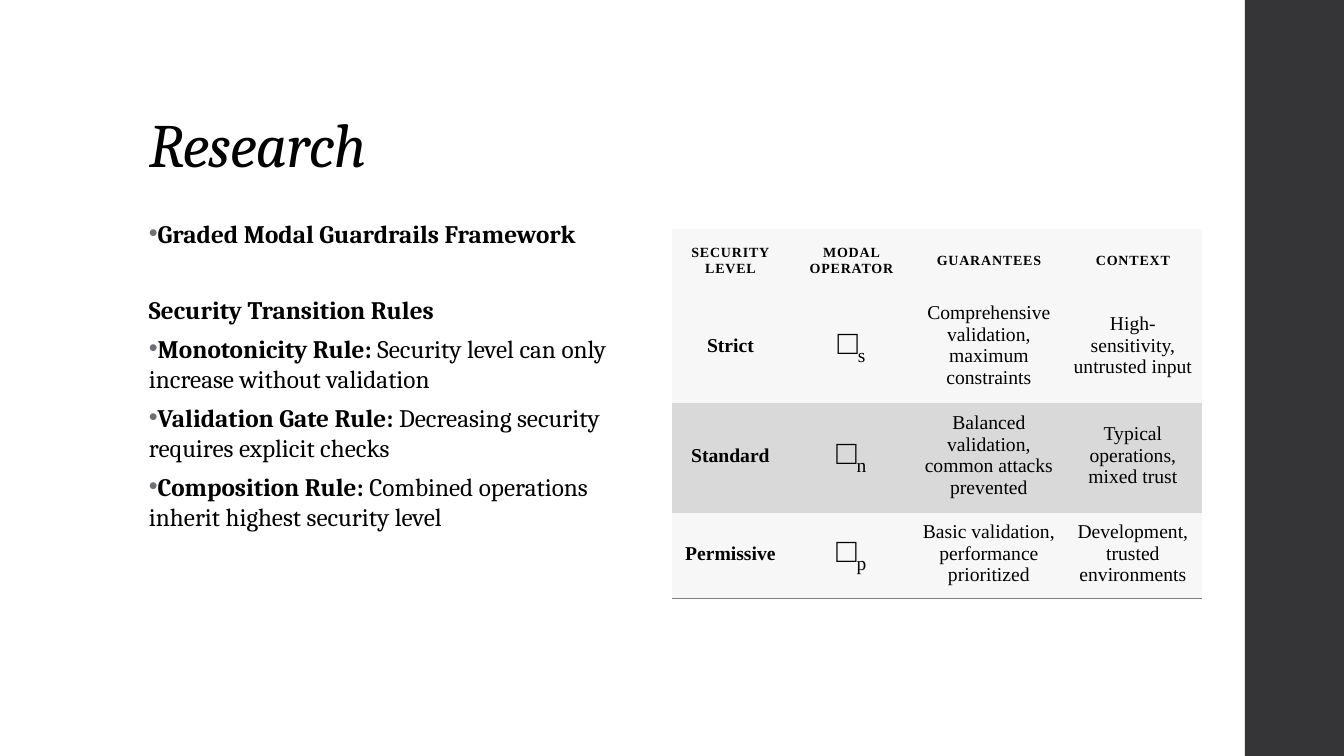
"""Build the Research slide: guardrail rules beside a table of security levels."""
from lxml.etree import SubElement
from pptx import Presentation
from pptx.dml.color import RGBColor
from pptx.enum.shapes import MSO_SHAPE
from pptx.enum.text import MSO_ANCHOR as ANCHOR, PP_ALIGN as ALIGN
from pptx.oxml import parse_xml
from pptx.oxml.ns import nsdecls, qn
from pptx.util import Emu, Pt

COLORS = {"text": "000000", "sidebar": "353537", "bullet": "6F6F74",
          "light": "F7F7F7", "dark": "D9D9D9", "rule": "808080"}
EMU_PER_INCH, PX_PER_INCH = 914400, 100.8


def px(*lengths):
    """Turn lengths in px into EMU."""
    return [Emu(round(length * EMU_PER_INCH / PX_PER_INCH)) for length in lengths]


def style(font, name, size, bold=None):
    """Set the face, size, weight and black colour of a font."""
    font.name, font.size, font.bold = name, Pt(size), bold
    font.color.rgb = RGBColor.from_string(COLORS["text"])


presentation = Presentation()
presentation.slide_width, presentation.slide_height = px(1344, 756)
slide = presentation.slides.add_slide(presentation.slide_layouts[6])

sidebar = slide.shapes.add_shape(MSO_SHAPE.RECTANGLE, *px(1245, 0, 99, 756))
sidebar.shadow.inherit = False
sidebar.fill.solid()
sidebar.fill.fore_color.rgb = RGBColor.from_string(COLORS["sidebar"])
sidebar.line.fill.background()

title = slide.shapes.add_textbox(*px(139, 40, 1068, 146)).text_frame
title.word_wrap = True
title.vertical_anchor = ANCHOR.BOTTOM
paragraph = title.paragraphs[0]
paragraph.line_spacing = 0.9
run = paragraph.add_run()
run.text = "Research"
run._r.get_or_add_rPr().set("spc", "-50")
style(paragraph.font, "Cambria", 44)
paragraph.font.italic = True

RULES = [
    ("Graded Modal Guardrails Framework", "", True),
    ("Security Transition Rules", "", False),
    ("Monotonicity Rule:", " Security level can only increase without validation", True),
    ("Validation Gate Rule:", " Decreasing security requires explicit checks", True),
    ("Composition Rule:", " Combined operations inherit highest security level", True),
]
rules = slide.shapes.add_textbox(*px(139, 213, 485, 468)).text_frame
rules.word_wrap = True
for index, (name, detail, bulleted) in enumerate(RULES):
    paragraph = rules.add_paragraph() if index else rules.paragraphs[0]
    paragraph.space_after = Pt(6)
    if bulleted:
        properties = paragraph._p.get_or_add_pPr()
        properties.set("marL", "0")
        properties.set("indent", str(-px(20)[0]))
        bullet_color = SubElement(properties, qn("a:buClr"))
        SubElement(bullet_color, qn("a:srgbClr"), val=COLORS["bullet"])
        SubElement(properties, qn("a:buFont"), typeface="Arial")
        SubElement(properties, qn("a:buChar"), char="•")
    else:
        paragraph.space_before = Pt(27)
    style(paragraph.font, "Cambria", 18)
    for text, bold in ((name, True), (detail, False)):
        if text:
            run = paragraph.add_run()
            run.text = text
            run.font.bold = bold

HEADERS = ["SECURITY LEVEL", "MODAL OPERATOR", "GUARANTEES", "CONTEXT"]
LEVELS = [
    ("Strict", "s", "Comprehensive validation, maximum constraints",
     "High-sensitivity, untrusted input"),
    ("Standard", "n", "Balanced validation, common attacks prevented",
     "Typical operations, mixed trust"),
    ("Permissive", "p", "Basic validation, performance prioritized",
     "Development, trusted environments"),
]
COLUMN_WIDTHS, ROW_HEIGHTS = [117, 125, 150, 138], [64, 110, 110, 86]
table = slide.shapes.add_table(
    len(ROW_HEIGHTS), len(COLUMN_WIDTHS),
    *px(672, 229, sum(COLUMN_WIDTHS), sum(ROW_HEIGHTS))).table
table.first_row = table.horz_banding = False
table._tbl.tblPr.find(qn("a:tableStyleId")).text = "{2D5ABB26-0587-4C30-8999-92F81FD0307C}"
for column, width in zip(table.columns, px(*COLUMN_WIDTHS)):
    column.width = width
for row, height in zip(table.rows, px(*ROW_HEIGHTS)):
    row.height = height

for row_index, texts in enumerate([HEADERS, *LEVELS]):
    is_header = row_index == 0
    for column_index, text in enumerate(texts):
        is_operator = column_index == 1 and not is_header
        cell = table.cell(row_index, column_index)
        cell.vertical_anchor = ANCHOR.MIDDLE
        margins = px(13, 13, 13, 13) if is_header else px(4, 4, 4, 9)
        cell.margin_left, cell.margin_top, cell.margin_right, cell.margin_bottom = margins
        cell.fill.solid()
        cell.fill.fore_color.rgb = RGBColor.from_string(
            COLORS["dark" if row_index == 2 else "light"])
        paragraph = cell.text_frame.paragraphs[0]
        paragraph.alignment = ALIGN.CENTER
        size = 10 if is_header else 24 if is_operator else 14
        style(paragraph.font, "Times New Roman", size, is_header or column_index == 0)
        for part in ("□", text) if is_operator else (text,):
            run = paragraph.add_run()
            run.text = part
        if is_header:
            run._r.get_or_add_rPr().set("spc", "60")
        if is_operator:
            run._r.get_or_add_rPr().set("baseline", "-25000")
        if row_index == len(LEVELS):
            cell._tc.get_or_add_tcPr().insert(0, parse_xml(
                f'<a:lnB {nsdecls("a")} w="12700"><a:solidFill>'
                f'<a:srgbClr val="{COLORS["rule"]}"/></a:solidFill></a:lnB>'))

presentation.save("out.pptx")
